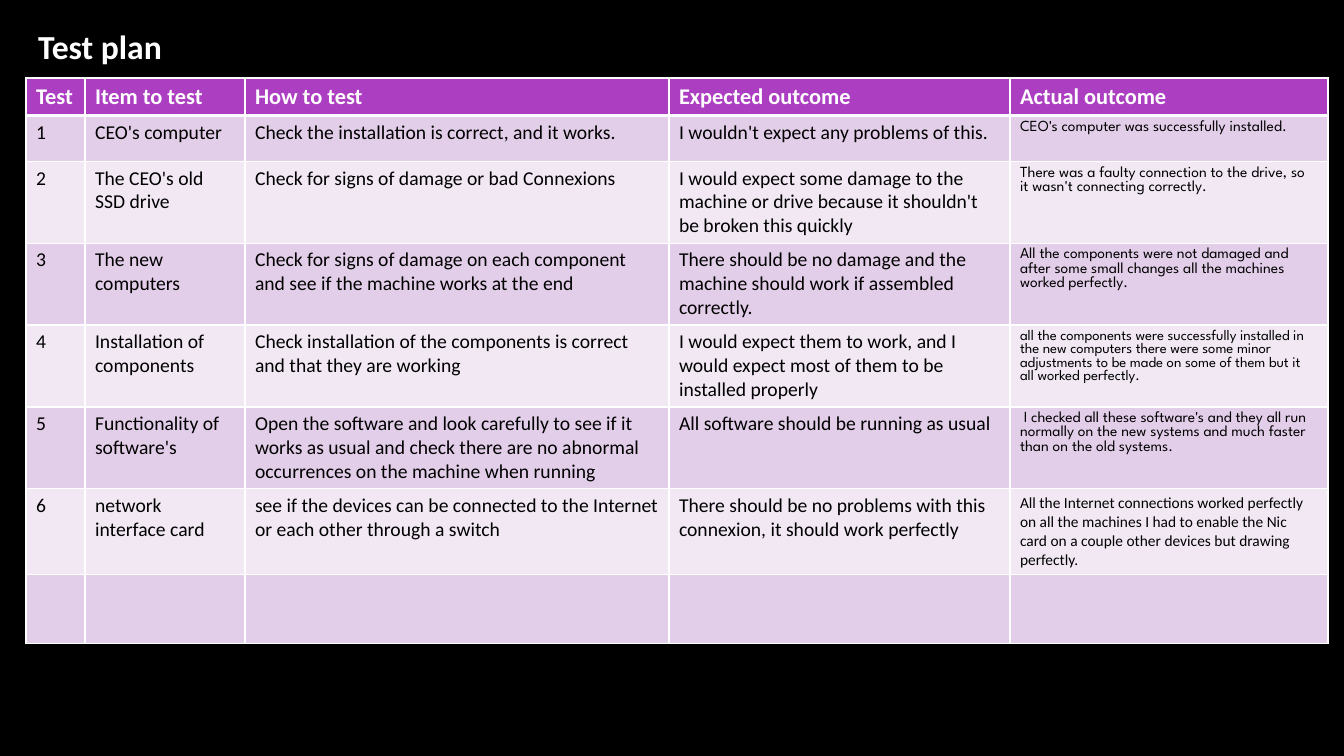
from lxml import etree
from pptx import Presentation, util as u
from pptx.dml.color import RGBColor
from pptx.enum import text
from pptx.oxml import ns

BLACK = RGBColor(0x00, 0x00, 0x00)
WHITE = RGBColor(0xFF, 0xFF, 0xFF)
PURPLE = RGBColor(0xAC, 0x3E, 0xC1)
LILAC = RGBColor(0xE3, 0xCE, 0xE9)
PALE = RGBColor(0xF1, 0xE8, 0xF4)

BODY_FONT = "Calibri"
NOTE_FONT = "League Spartan"
COLUMN_WIDTHS = [59, 160, 424, 341, 318]
ROW_HEIGHTS = [37, 46, 81, 82, 82, 81, 86, 69]
HEADINGS = ["Test", "Item to test", "How to test", "Expected outcome", "Actual outcome"]
TESTS = [
    ("CEO's computer",
     "Check the installation is correct, and it works.",
     "I wouldn't expect any problems of this.",
     "CEO's computer was successfully installed."),
    ("The CEO's old SSD drive",
     "Check for signs of damage or bad Connexions",
     "I would expect some damage to the machine or drive because "
     "it shouldn't be broken this quickly",
     "There was a faulty connection to the drive, so it wasn't connecting correctly."),
    ("The new computers",
     "Check for signs of damage on each component and see if the machine works at the end",
     "There should be no damage and the machine should work if assembled correctly.",
     "All the components were not damaged and after some small changes "
     "all the machines worked perfectly."),
    ("Installation of components",
     "Check installation of the components is correct and that they are working",
     "I would expect them to work, and I would expect most of them to be installed properly",
     "all the components were successfully installed in the new computers there were "
     "some minor adjustments to be made on some of them but it all worked perfectly."),
    ("Functionality of software's",
     "Open the software and look carefully to see if it works as usual and check "
     "there are no abnormal occurrences on the machine when running",
     "All software should be running as usual",
     " I checked all these software's and they all run normally on the new systems "
     "and much faster than on the old systems."),
    ("network interface card",
     "see if the devices can be connected to the Internet or each other through a switch",
     "There should be no problems with this connexion, it should work perfectly",
     "All the Internet connections worked perfectly on all the machines I had to "
     "enable the Nic card on a couple other devices but drawing perfectly."),
]
NOTE_STYLES = {4: (10.5, NOTE_FONT), 6: (11, BODY_FONT)}


class Slide:
    """Holds the page and draws its elements with lengths in px."""

    def __init__(self, deck):
        self.scale = deck.slide_width / 1344
        self.page = deck.slides.add_slide(deck.slide_layouts[5])
        self.page.background.fill.solid()
        self.page.background.fill.fore_color.rgb = BLACK

    def px(self, *lengths):
        return [u.Emu(round(length * self.scale)) for length in lengths]

    def style(self, para, size, color, bold=False, font=BODY_FONT):
        para.font.size = u.Pt(size)
        para.font.name = font
        para.font.bold = bold
        para.font.color.rgb = color

    def title(self, words, *place):
        box = self.page.shapes.title
        box.left, box.top, box.width, box.height = self.px(*place)
        box.text_frame.text = words
        box.text_frame.vertical_anchor = text.MSO_ANCHOR.MIDDLE
        para = box.text_frame.paragraphs[0]
        para.alignment = text.PP_ALIGN.LEFT
        self.style(para, 24, WHITE, bold=True)

    def table(self, left, top, widths, heights):
        place = self.px(left, top, sum(widths), sum(heights))
        grid = self.page.shapes.add_table(len(heights), len(widths), *place).table
        grid.horz_banding = False
        for column, width in zip(grid.columns, self.px(*widths)):
            column.width = width
        for row, height in zip(grid.rows, self.px(*heights)):
            row.height = height
        return grid

    def cell(self, cell, words, fill, size, color, bold=False, font=BODY_FONT):
        cell.fill.solid()
        cell.fill.fore_color.rgb = fill
        cell.text = words
        self.style(cell.text_frame.paragraphs[0], size, color, bold, font)

    def borders(self, cell, top=1, bottom=1):
        properties = cell._tc.get_or_add_tcPr()
        sides = {"lnL": 1, "lnR": 1, "lnT": top, "lnB": bottom}
        for position, (side, points) in enumerate(sides.items()):
            line = etree.Element(ns.qn("a:" + side), w=str(u.Pt(points)))
            solid = etree.SubElement(line, ns.qn("a:solidFill"))
            etree.SubElement(solid, ns.qn("a:srgbClr"), val=str(WHITE))
            properties.insert(position, line)


def main():
    deck = Presentation()
    deck.slide_width, deck.slide_height = u.Inches(13.33), u.Inches(7.5)
    slide = Slide(deck)
    grid = slide.table(26, 78, COLUMN_WIDTHS, ROW_HEIGHTS)
    for column, heading in enumerate(HEADINGS):
        cell = grid.cell(0, column)
        slide.cell(cell, heading, PURPLE, 16, WHITE, bold=True)
        slide.borders(cell, bottom=3)

    numbered = [(str(number), *test) for number, test in enumerate(TESTS, 1)]
    for row, words in enumerate(numbered + [("",) * len(HEADINGS)], 1):
        fill = LILAC if row % 2 else PALE
        for column, entry in enumerate(words):
            size, font = 14, BODY_FONT
            if column == len(HEADINGS) - 1:
                size, font = NOTE_STYLES.get(row, (11, NOTE_FONT))
            cell = grid.cell(row, column)
            slide.cell(cell, entry, fill, size, BLACK, font=font)
            slide.borders(cell, top=3 if row == 1 else 1)

    slide.title("Test plan", 28, 21, 633, 50)
    deck.save("out.pptx")


if __name__ == "__main__":
    main()
